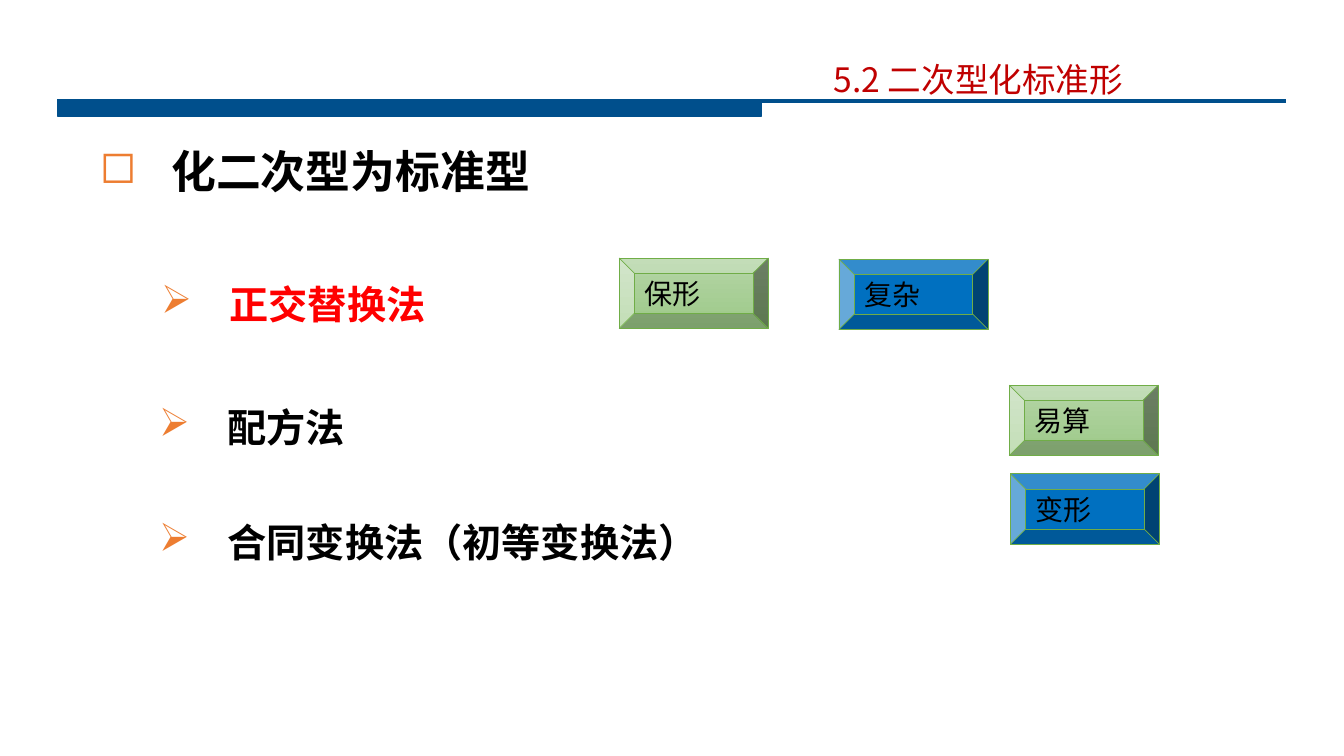
from lxml import etree
from pptx import Presentation
from pptx.dml.color import RGBColor
from pptx.enum.shapes import MSO_CONNECTOR, MSO_SHAPE
from pptx.enum.text import MSO_ANCHOR, PP_ALIGN
from pptx.oxml.ns import qn
from pptx.util import Inches, Pt

STRAIGHT = MSO_CONNECTOR.STRAIGHT
RECTANGLE = MSO_SHAPE.RECTANGLE
BEVEL = MSO_SHAPE.BEVEL
MIDDLE = MSO_ANCHOR.MIDDLE
LEFT = PP_ALIGN.LEFT

NAVY = RGBColor(0x00, 0x4F, 0x8C)
ORANGE = RGBColor(0xED, 0x7D, 0x31)
BLACK = RGBColor(0x00, 0x00, 0x00)
RED = RGBColor(0xFF, 0x00, 0x00)
DARK_RED = RGBColor(0xC0, 0x00, 0x00)
BLUE = RGBColor(0x00, 0x70, 0xC0)
GREEN = RGBColor(0x70, 0xAD, 0x47)
GREEN_TOP = RGBColor(0xB5, 0xD5, 0xA7)
GREEN_BOTTOM = RGBColor(0x9C, 0xC9, 0x87)

HEADING_FONT = "Noto Sans CJK SC"
BODY_FONT = "DejaVu Sans"
TAG_FONT = "Calibri"


def add_run(paragraph, text, size, font, color, bold=False):
    run = paragraph.add_run()
    run.text = text
    run.font.size = Pt(size)
    run.font.name = font
    run.font.color.rgb = color
    run.font.bold = bold


def add_text_frame(slide, left, top, width, height):
    box = slide.shapes.add_textbox(
        Inches(left), Inches(top), Inches(width), Inches(height))
    box.text_frame.word_wrap = True
    return box.text_frame


def set_bullet(paragraph, symbol, indent):
    properties = paragraph._p.get_or_add_pPr()
    properties.set("marL", str(Inches(indent)))
    properties.set("indent", str(-Inches(indent)))
    bullet_color = etree.SubElement(properties, qn("a:buClr"))
    etree.SubElement(bullet_color, qn("a:srgbClr"), val=str(ORANGE))
    etree.SubElement(properties, qn("a:buChar"), char=symbol)


def add_header(slide):
    rule = slide.shapes.add_connector(
        STRAIGHT, Inches(0.57), Inches(1), Inches(12.75), Inches(1))
    rule.line.color.rgb = NAVY
    rule.line.width = Pt(3)
    etree.SubElement(rule._element.spPr, qn("a:effectLst"))

    bar = slide.shapes.add_shape(
        RECTANGLE, Inches(0.57), Inches(1), Inches(6.98), Inches(0.15))
    bar.shadow.inherit = False
    bar.fill.solid()
    bar.fill.fore_color.rgb = NAVY
    bar.line.color.rgb = NAVY
    bar.line.width = Pt(1)

    section = add_text_frame(slide, 8.17, 0.54, 4.54, 0.5).paragraphs[0]
    add_run(section, "5.2 二次型化标准形", 24, HEADING_FONT, DARK_RED)


def add_bullet_line(slide, text, left, top, width, height, symbol, indent,
                    size, color=BLACK):
    line = add_text_frame(slide, left, top, width, height).paragraphs[0]
    set_bullet(line, symbol, indent)
    line.line_spacing = 1.7
    add_run(line, text, size, BODY_FONT, color, bold=True)


def add_method(slide, text, left, top, width, color=BLACK):
    add_bullet_line(slide, text, left, top, width, 0.9, "➢", 0.68, 28, color)


def add_tag(slide, text, left, top, is_advantage):
    tag = slide.shapes.add_shape(
        BEVEL, Inches(left), Inches(top), Inches(1.48), Inches(0.7))
    tag.adjustments[0] = 0.218
    tag.shadow.inherit = False
    if is_advantage:
        tag.fill.gradient()
        tag.fill.gradient_angle = 270
        for stop, color in zip(tag.fill.gradient_stops,
                               (GREEN_TOP, GREEN_BOTTOM)):
            stop.color.rgb = color
    else:
        tag.fill.solid()
        tag.fill.fore_color.rgb = BLUE
    tag.line.color.rgb = GREEN
    tag.line.width = Pt(0.5)
    tag.text_frame.word_wrap = True
    tag.text_frame.vertical_anchor = MIDDLE
    label = tag.text_frame.paragraphs[0]
    label.alignment = LEFT
    add_run(label, text, 20, TAG_FONT, BLACK)


def main():
    presentation = Presentation()
    presentation.slide_width = Inches(13.33)
    presentation.slide_height = Inches(7.5)
    slide = presentation.slides.add_slide(presentation.slide_layouts[6])

    add_header(slide)
    add_bullet_line(slide, "化二次型为标准型", 0.89, 1, 9.52, 1.02,
                    "◻", 0.71, 32)

    add_method(slide, "正交替换法", 1.5, 2.41, 4.44, RED)
    add_method(slide, "配方法", 1.48, 3.63, 4.44)
    add_method(slide, "合同变换法（初等变换法）", 1.48, 4.77, 9.2)

    add_tag(slide, "保形", 6.14, 2.56, True)
    add_tag(slide, "复杂", 8.32, 2.57, False)
    add_tag(slide, "易算", 10.01, 3.82, True)
    add_tag(slide, "变形", 10.02, 4.7, False)

    presentation.save("out.pptx")


if __name__ == "__main__":
    main()
